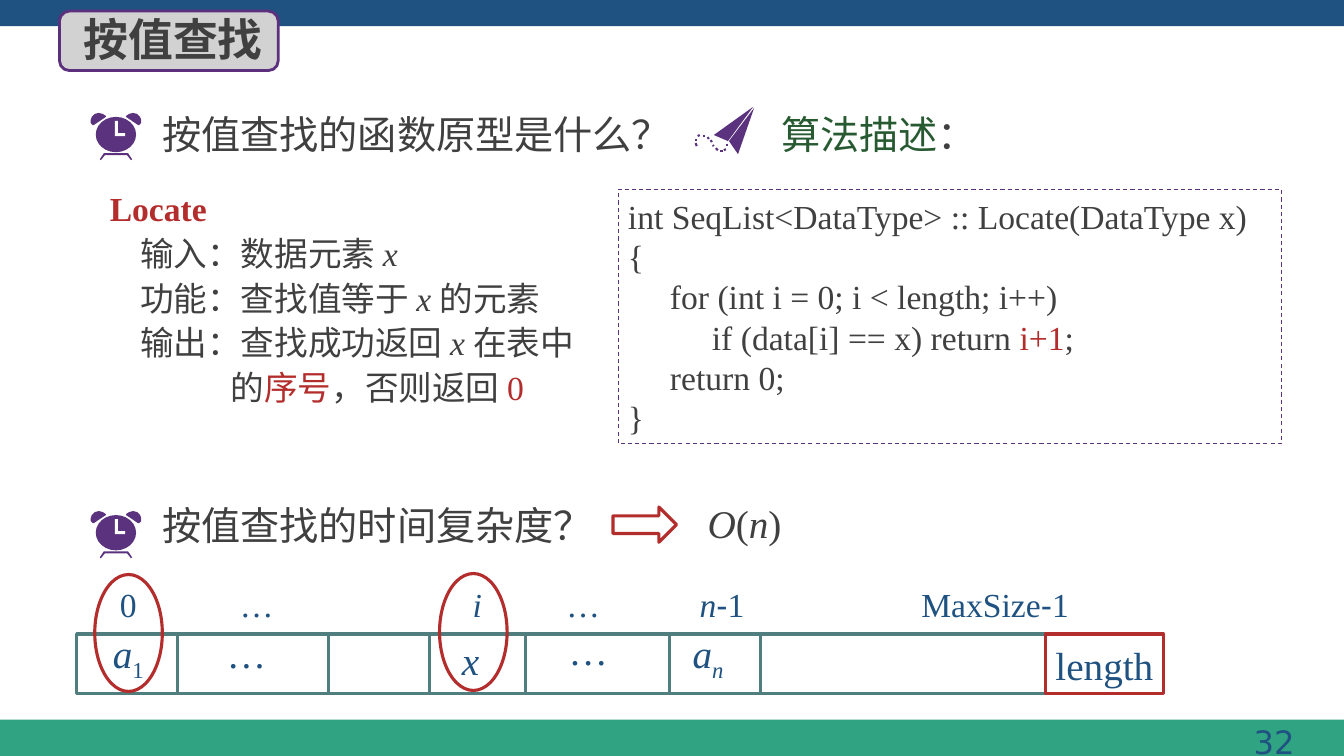
import pptx
import pptx.util
import pptx.dml.color
import pptx.enum.shapes
import pptx.enum.text
import pptx.enum.dml
import pptx.oxml.ns
import lxml.etree

RGB = pptx.dml.color.RGBColor
KIND = pptx.enum.shapes.MSO_SHAPE
ALIGN = pptx.enum.text.PP_ALIGN
Pt = pptx.util.Pt
PX = 9144

GREEN = RGB(0x30, 0xA3, 0x83)
BLUE = RGB(0x1F, 0x52, 0x81)
GREY = RGB(0xD2, 0xD2, 0xD2)
VIOLET = RGB(0x5C, 0x30, 0x7D)
PURPLE = RGB(0x5A, 0x32, 0x7D)
DARK = RGB(0x40, 0x40, 0x40)
RED = RGB(0xB4, 0x2D, 0x2D)
TEAL = RGB(0x50, 0x7D, 0x7D)
FOREST = RGB(0x28, 0x5A, 0x32)
WHITE = RGB(0xFF, 0xFF, 0xFF)

SERIF = "Times New Roman"
HAN = "Noto Sans CJK SC"

HEADS = [
    ((73, 7, 222, 64), 32, None, [("按值查找", DARK, "b")]),
    ((151, 105, 598, 57), 28, None, [("按值查找的函数原型是什么？", DARK, "")]),
    ((765, 105, 288, 57), 28, None, [("算法描述", FOREST, ""), ("：", DARK, "")]),
    ((151, 500, 472, 49), 28, 28, [("按值查找的时间复杂度？", DARK, "")]),
]
LOCATE = [
    (0, [("Locate", RED, "b")]),
    (30, [("输入：数据元素 ", DARK, ""), ("x", DARK, "i")]),
    (30, [("功能：查找值等于 ", DARK, ""), ("x ", DARK, "i"), ("的元素", DARK, "")]),
    (30, [("输出：查找成功返回 ", DARK, ""), ("x ", DARK, "i"), ("在表中", DARK, "")]),
    (120, [("的", DARK, ""), ("序号", RED, ""), ("，否则返回 ", DARK, ""), ("0", RED, "")]),
]
CODE = [
    (0, [("int SeqList<DataType> :: Locate(DataType x)", DARK, "")]),
    (0, [("{", DARK, "")]),
    (0, [("     for (int i = 0; i < length; i++)", DARK, "")]),
    (0, [("          if (data[i] == x) return ", DARK, ""), ("i+1", RED, ""), (";", DARK, "")]),
    (0, [("     return 0;", DARK, "")]),
    (0, [("}", DARK, "")]),
]
COST = [(0, [("O", DARK, "i"), ("(", DARK, ""), ("n", DARK, "i"), (")", DARK, "")])]
STOPS = [25, 144, 375, 468, 600, 820]
INDEX = [("\t0\t…\t", BLUE, ""), ("i\t", BLUE, "i"), ("…\t", BLUE, ""), ("n", BLUE, "i"),
         ("-", BLUE, "h"), ("1\tMaxSize", BLUE, ""), ("-", BLUE, "h"), ("1", BLUE, "")]
CELLS = [
    (103, 631, 9, [("a", BLUE, "i"), ("1", BLUE, "s")]),
    (225, 624, 0, [("…", BLUE, "")]),
    (439, 631, 19, [("x", BLUE, "i")]),
    (564, 621, 0, [("…", BLUE, "")]),
    (678, 631, 9, [("a", BLUE, "i"), ("n", BLUE, "is")]),
]
WALLS = [176, 326, 426, 521, 664, 754]
ROW, FLOOR = 629, 688
RINGS = [(436, 569), (94, 570)]

CLOCKS = [0, 395]
FEET = [(99, 158), (103, 152), (127, 152), (131, 158), (130, 159), (126, 154), (104, 154), (100, 159)]
BELL = [(98, 112), (94, 113), (91, 116), (90, 119), (90, 122), (92, 124), (93, 124),
        (105, 116), (105, 115), (102, 113)]
HANDS = [(114, 120), (117, 120), (117, 132), (124, 132), (124, 135), (114, 135)]
WINGS = [[(748, 107), (732, 153), (723, 140)], [(747, 106), (722, 140), (708, 134)]]
TRAIL = [(721, 143, 721, 145), (720, 148, 718, 149), (717, 150, 714, 150), (712, 149, 710, 147),
         (708, 145, 707, 144), (706, 141, 705, 139), (703, 138, 702, 136), (699, 135, 697, 135),
         (694, 134, 692, 135), (691, 145, 690, 142), (690, 140, 690, 138)]

deck = pptx.Presentation()
deck.slide_width, deck.slide_height = 1333 * PX, 750 * PX
slide = deck.slides.add_slide(deck.slide_layouts[6])
shapes = slide.shapes


def paint(shape, fill=None, edge=None, width=2.25):
    shape.shadow.inherit = False
    if fill is None:
        shape.fill.background()
    else:
        shape.fill.solid()
        shape.fill.fore_color.rgb = fill
    if edge is None:
        shape.line.fill.background()
    else:
        shape.line.color.rgb = edge
        shape.line.width = Pt(width)
    return shape


def block(kind, box, fill=None, edge=None, width=2.25):
    return paint(shapes.add_shape(kind, *[n * PX for n in box]), fill, edge, width)


def outline(points, fill):
    form = shapes.build_freeform(*points[0], scale=PX)
    form.add_line_segments(points[1:])
    paint(form.convert_to_shape(), fill)


def stroke(ends, color, width):
    line = shapes.add_connector(pptx.enum.shapes.MSO_CONNECTOR.STRAIGHT, *[n * PX for n in ends])
    line.line.color.rgb = color
    line.line.width = Pt(width)
    lxml.etree.SubElement(line._element.spPr, pptx.oxml.ns.qn("a:effectLst"))


def write(shape, paras, size, font=SERIF, lead=None, inset=(10, 5, 10, 5), align=ALIGN.LEFT, stops=()):
    frame = shape.text_frame
    frame.word_wrap = True
    frame.margin_left, frame.margin_top, frame.margin_right, frame.margin_bottom = [n * PX for n in inset]
    for k, (indent, runs) in enumerate(paras):
        para = frame.add_paragraph() if k else frame.paragraphs[0]
        para.alignment = align
        if lead:
            para.line_spacing = Pt(lead)
        props = para._p.get_or_add_pPr()
        if indent:
            props.set("marL", str(indent * PX))
        if stops:
            tabs = lxml.etree.SubElement(props, pptx.oxml.ns.qn("a:tabLst"))
            for stop in stops:
                lxml.etree.SubElement(tabs, pptx.oxml.ns.qn("a:tab"), pos=str(stop * PX), algn="l")
        for text, color, marks in runs:
            run = para.add_run()
            run.text = text
            run.font.size = Pt(size)
            run.font.name = "Arial" if "h" in marks else font
            run.font.color.rgb = color
            run.font.bold = "b" in marks
            run.font.italic = "i" in marks
            look = run._r.get_or_add_rPr()
            lxml.etree.SubElement(look, pptx.oxml.ns.qn("a:ea"), typeface=HAN)
            if "s" in marks:
                look.set("baseline", "-25000")


def label(box, paras, size, **more):
    write(shapes.add_textbox(*[n * PX for n in box]), paras, size, **more)


block(KIND.RECTANGLE, (0, 714, 1333, 36), GREEN)
block(KIND.RECTANGLE, (0, 0, 1333, 26), BLUE)
label((1003, 711, 294, 52), [(0, [("32", BLUE, "")])], 23, font="DejaVu Sans",
      inset=(13, 6, 13, 6), align=ALIGN.RIGHT)
block(KIND.ROUNDED_RECTANGLE, (59, 11, 217, 59), GREY, VIOLET, 2)
for box, size, lead, runs in HEADS:
    label(box, [(0, runs)], size, font=HAN, lead=lead)

for drop in CLOCKS:
    flip = [(230 - x, y) for x, y in BELL]
    for points in (FEET, BELL, flip):
        outline([(x, y + drop) for x, y in points], PURPLE)
    block(KIND.OVAL, (95, 116 + drop, 40, 35), PURPLE)
    outline([(x, y + drop) for x, y in HANDS], WHITE)
for wing in WINGS:
    outline(wing, PURPLE)
for ends in TRAIL:
    stroke(ends, PURPLE, 1.5)

label((99, 177, 509, 234), LOCATE, 24, lead=32)
panel = block(KIND.RECTANGLE, (613, 188, 658, 252), None, PURPLE, 0.75)
panel.line.dash_style = pptx.enum.dml.MSO_LINE.DASH
write(panel, CODE, 24, lead=28.8)

block(KIND.RIGHT_ARROW, (608, 503, 63, 35), None, RED)
label((692, 498, 95, 49), COST, 28, lead=28)

label((84, 574, 1096, 50), [(0, INDEX)], 24, stops=STOPS)
block(KIND.RECTANGLE, (76, ROW, 961, FLOOR - ROW), None, TEAL)
for x in WALLS:
    stroke((x, ROW, x, FLOOR), TEAL, 2.25)
for x, y, indent, runs in CELLS:
    label((x, y, 67, 46), [(0, runs)], 28, lead=30, inset=(indent, 5, 0, 5))
tail = block(KIND.RECTANGLE, (1037, ROW, 117, FLOOR - ROW), None, RED)
write(tail, [(0, [("length", BLUE, "")])], 28, lead=30, inset=(10, 12, 0, 5))
for x, y in RINGS:
    block(KIND.OVAL, (x, y, 67, 116), None, RED)

deck.save("out.pptx")
